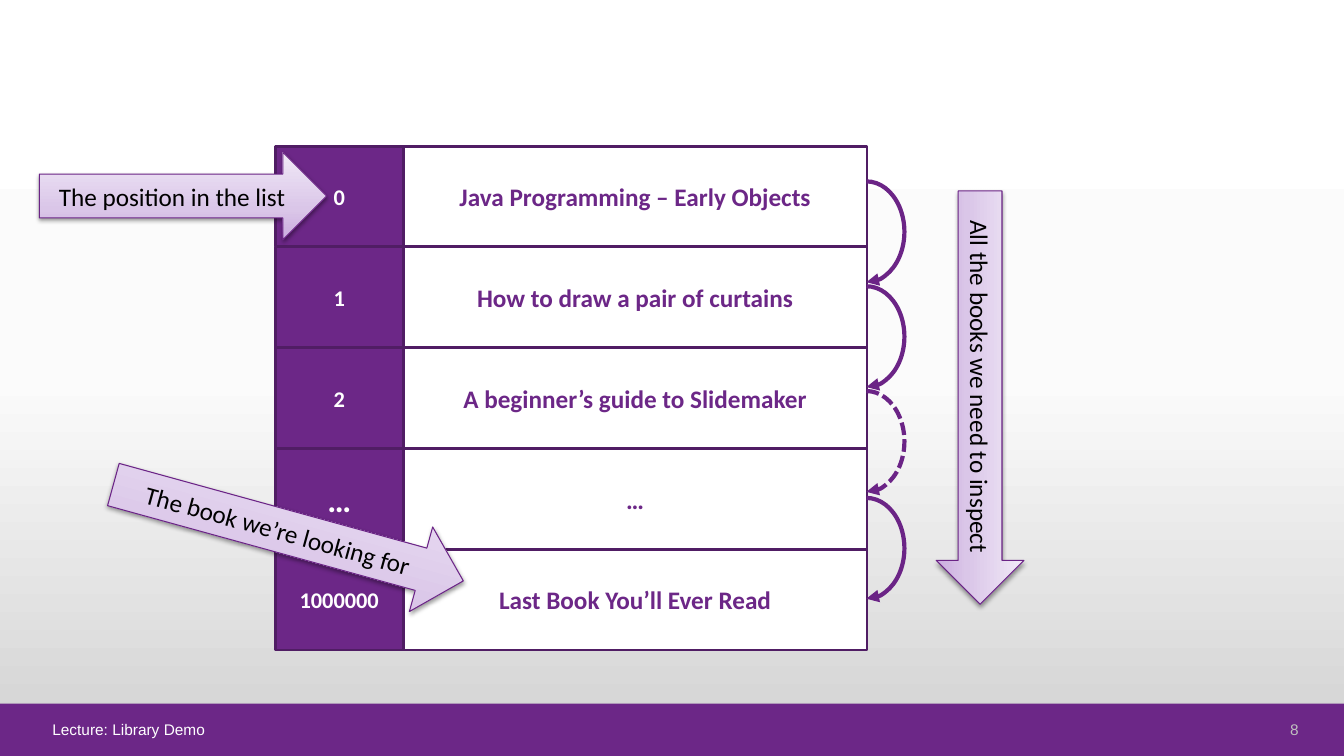
from lxml import etree
from pptx import Presentation
from pptx.dml.color import RGBColor
from pptx.enum.dml import MSO_LINE
from pptx.enum.shapes import MSO_SHAPE
from pptx.enum.text import MSO_ANCHOR, PP_ALIGN
from pptx.oxml.ns import qn
from pptx.util import Pt

PX = 9144
RECT = MSO_SHAPE.RECTANGLE
ARC = MSO_SHAPE.ARC
ARROW = MSO_SHAPE.RIGHT_ARROW
DASH = MSO_LINE.SQUARE_DOT
MIDDLE = MSO_ANCHOR.MIDDLE
LEFT, CENTER, RIGHT = PP_ALIGN.LEFT, PP_ALIGN.CENTER, PP_ALIGN.RIGHT

PURPLE, EDGE, STROKE = "6C2787", "501D64", "6B2486"
WHITE, BLACK, GREY = "FFFFFF", "000000", "BFBFBF"
PAPER = [(0, "FFFFFF"), (50, "FBFBFB"), (100, "D1D1D1")]
LILAC = [(0, "CBADDF"), (35, "DAC6E8"), (100, "F1E9F7")]

BOOKS = [
    ("0", 16, "Java Programming – Early Objects"),
    ("1", 16, "How to draw a pair of curtains"),
    ("2", 16, "A beginner’s guide to Slidemaker"),
    ("…", 24, "…"),
    ("1000000", 16, "Last Book You’ll Ever Read"),
]
HOPS = [(180, False), (284, False), (388, True), (494, False)]
LABELS = [
    ("The position in the list", 39, 151, 285, 0),
    ("The book we’re looking for", 106, 485, 360, 15.4),
    ("All the books we need to inspect", 767, 351, 410, 90),
]


def color(code):
    return RGBColor.from_string(code)


def add(parent, tag, **attrs):
    return etree.SubElement(parent, qn(tag), attrs)


class Deck:
    def __init__(self, slide, font="Calibri"):
        self.slide = slide
        self.font = font

    def blend(self, owner, fill, stops, angle):
        fill.gradient()
        fill.gradient_angle = angle
        group = owner.element.find(".//" + qn("a:gsLst"))
        for stop in list(group):
            group.remove(stop)
        for place, code in stops:
            stop = add(group, "a:gs", pos=str(place * 1000))
            add(stop, "a:srgbClr", val=code)

    def shape(self, kind, box, fill=None, line=None, width=0):
        item = self.slide.shapes.add_shape(kind, *[n * PX for n in box])
        item.shadow.inherit = False
        if fill:
            item.fill.solid()
            item.fill.fore_color.rgb = color(fill)
        else:
            item.fill.background()
        if line:
            item.line.color.rgb = color(line)
            item.line.width = Pt(width)
        else:
            item.line.fill.background()
        return item

    def label(self, item, text, size, code, bold=False, align=CENTER, font=None):
        frame = item.text_frame
        frame.word_wrap = True
        frame.vertical_anchor = MIDDLE
        frame.text = text
        para = frame.paragraphs[0]
        para.alignment = align
        style = para.runs[0].font
        style.name = font or self.font
        style.size = Pt(size)
        style.bold = bold
        style.color.rgb = color(code)

    def cell(self, box, text, size, fill, code):
        item = self.shape(RECT, box, fill, EDGE, 2)
        self.label(item, text, size, code, bold=True)

    def hop(self, top, dashed):
        item = self.shape(ARC, (822, top, 75, 100), None, STROKE, 3)
        item.adjustments[0] = 162
        item.adjustments[1] = 54.131
        if dashed:
            item.line.dash_style = DASH
        add(item.element.spPr.find(qn("a:ln")), "a:tailEnd", type="triangle")

    def arrow(self, text, left, top, width, turn):
        item = self.shape(ARROW, (left, top, width, 87), None, STROKE, 0.75)
        self.blend(item, item.fill, LILAC, 90)
        item.rotation = turn
        effects = item.element.spPr.find(qn("a:effectLst"))
        shade = add(effects, "a:outerShdw", blurRad=str(Pt(3.1)),
                    dist=str(Pt(1.6)), dir="5400000", rotWithShape="0")
        tint = add(shade, "a:srgbClr", val=BLACK)
        add(tint, "a:alpha", val="38000")
        self.label(item, text, 18, BLACK)

    def note(self, box, text, code, align):
        item = self.slide.shapes.add_textbox(*[n * PX for n in box])
        self.label(item, text, 11, code, align=align, font="Arial")


def main():
    show = Presentation()
    show.slide_width, show.slide_height = 1333 * PX, 750 * PX
    slide = show.slides.add_slide(show.slide_layouts[6])
    deck = Deck(slide)
    deck.blend(slide, slide.background.fill, PAPER, 270)
    deck.shape(RECT, (0, 698, 1333, 52), PURPLE)
    for row, (index, size, title) in enumerate(BOOKS):
        top = 145 + 100 * row
        deck.cell((273, top, 127, 100), index, size, PURPLE, WHITE)
        deck.cell((400, top, 460, 100), title, 18, WHITE, PURPLE)
    for top, dashed in HOPS:
        deck.hop(top, dashed)
    for label in LABELS:
        deck.arrow(*label)
    deck.note((42, 712, 1165, 23), "Lecture: Library Demo", WHITE, LEFT)
    deck.note((1223, 712, 75, 23), "8", GREY, RIGHT)
    show.save("out.pptx")


if __name__ == "__main__":
    main()
